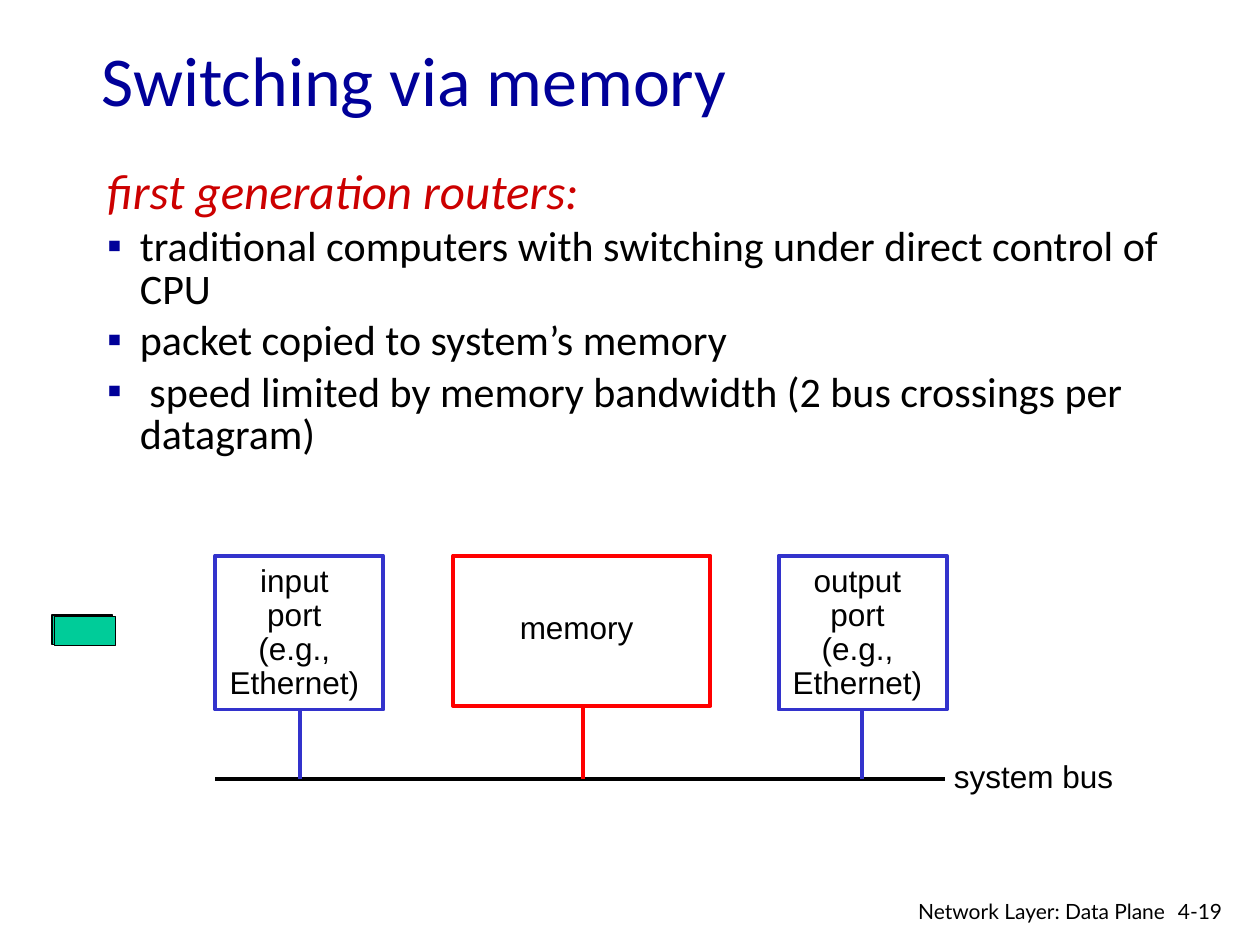
import pptx
import pptx.dml.color
import pptx.enum.shapes
import pptx.enum.text
import pptx.util
from lxml import etree

Pt = pptx.util.Pt
ALIGN = pptx.enum.text.PP_ALIGN
ANCHOR = pptx.enum.text.MSO_ANCHOR
RECT = pptx.enum.shapes.MSO_SHAPE.RECTANGLE
LINE = pptx.enum.shapes.MSO_CONNECTOR.STRAIGHT
BLUE, RED, GREEN = "3333CC", "FF0000", "00CC99"
NAVY, BLACK, WHITE = "000099", "000000", "FFFFFF"
NS = "http://schemas.openxmlformats.org/drawingml/2006/main"


def color(code):
    return pptx.dml.color.RGBColor.from_string(code)


def write(frame, text, font="Arial", size=18, ink=BLACK, italic=False,
          align=ALIGN.LEFT, space=1.0, gap=0, hang=0, bullet=None, wrap=True):
    """Add one paragraph per line of text, filling a blank first paragraph."""
    frame.word_wrap = wrap
    frame.auto_size = pptx.enum.text.MSO_AUTO_SIZE.NONE
    for words in text.split("\n"):
        para = frame.paragraphs[0]
        first = not para.runs
        if not first:
            para = frame.add_paragraph()
        if hang:
            props = para._p.get_or_add_pPr()
            props.set("marL", str(Pt(hang)))
            props.set("indent", str(-Pt(hang)))
            if bullet:
                tint = etree.SubElement(props, f"{{{NS}}}buClr")
                etree.SubElement(tint, f"{{{NS}}}srgbClr", val=NAVY)
                etree.SubElement(props, f"{{{NS}}}buFont", typeface="Arial")
                etree.SubElement(props, f"{{{NS}}}buChar", char=bullet)
            else:
                etree.SubElement(props, f"{{{NS}}}buNone")
        para.alignment = align
        para.line_spacing = space
        para.space_before = Pt(0 if first else gap)
        run = para.add_run()
        run.text = words
        run.font.name = font
        run.font.size = Pt(size)
        run.font.italic = italic
        run.font.color.rgb = color(ink)


deck = pptx.Presentation()
deck.slide_width, deck.slide_height = Pt(720), Pt(540)
slide = deck.slides.add_slide(deck.slide_layouts[1])
shapes = slide.shapes

# Title and list
title, body = shapes.title, slide.placeholders[1]
title.left, title.top, title.width, title.height = Pt(51), Pt(21), Pt(612), Pt(48)
title.text_frame.vertical_anchor = ANCHOR.MIDDLE
write(title.text_frame, "Switching via memory", font="Calibri", size=40, ink=NAVY)

body.left, body.top, body.width, body.height = Pt(54), Pt(93), Pt(618), Pt(84)
body.text_frame.vertical_anchor = ANCHOR.TOP
write(body.text_frame, "first generation routers:", font="Calibri", size=28,
      ink="CC0000", italic=True, space=0.85, hang=18.75)
write(body.text_frame,
      "traditional computers with switching under direct control of CPU\n"
      "packet copied to system’s memory\n"
      " speed limited by memory bandwidth (2 bus crossings per datagram)",
      font="Calibri", size=24, space=0.85, gap=4.8, hang=18.75, bullet="▪")

# Ports, memory and the two packets: place, fill, line, line width
boxes = [
    (123, 317.5, 96, 88, WHITE, BLUE, 2.25),
    (259, 317.5, 147, 86, WHITE, RED, 2.25),
    (445, 317.5, 96, 88, WHITE, BLUE, 2.25),
    (29.75, 351.5, 34.5, 17, GREEN, BLACK, 0.75),
    (31, 352.25, 35, 16.5, GREEN, BLACK, 0.75),
]
for left, top, width, height, fill, ink, weight in boxes:
    box = shapes.add_shape(RECT, Pt(left), Pt(top), Pt(width), Pt(height))
    box.shadow.inherit = False
    box.fill.solid()
    box.fill.fore_color.rgb = color(fill)
    box.line.color.rgb = color(ink)
    box.line.width = Pt(weight)

# Bus and the links down to it
bus = 445
links = [
    (123, bus, 540, bus, BLACK),
    (171.5, 406, 171.5, bus, BLUE),
    (492.5, 406, 492.5, bus, BLUE),
    (333.25, 404, 333.25, bus, RED),
]
for x1, y1, x2, y2, ink in links:
    link = shapes.add_connector(LINE, Pt(x1), Pt(y1), Pt(x2), Pt(y2))
    link.line.color.rgb = color(ink)
    link.line.width = Pt(2.25)
    etree.SubElement(link._element.spPr, f"{{{NS}}}effectLst")

# Labels
center = dict(align=ALIGN.CENTER, space=0.9, wrap=False)
foot = dict(font="Lato", size=12)
labels = [
    (124, 319.5, 88.5, 85, "input\nport\n(e.g.,\nEthernet)", center),
    (290, 346.5, 79, 26.5, "memory", center),
    (445.75, 319.5, 88.5, 85, "output\nport\n(e.g.,\nEthernet)", center),
    (538, 429, 106, 29, "system bus", dict(wrap=False)),
    (666, 510, 44, 21.5, "4-19", foot),
    (502, 510, 171, 19, "Network Layer: Data Plane", dict(foot, align=ALIGN.RIGHT)),
]
for left, top, width, height, text, style in labels:
    label = shapes.add_textbox(Pt(left), Pt(top), Pt(width), Pt(height))
    write(label.text_frame, text, **style)

deck.save("out.pptx")
